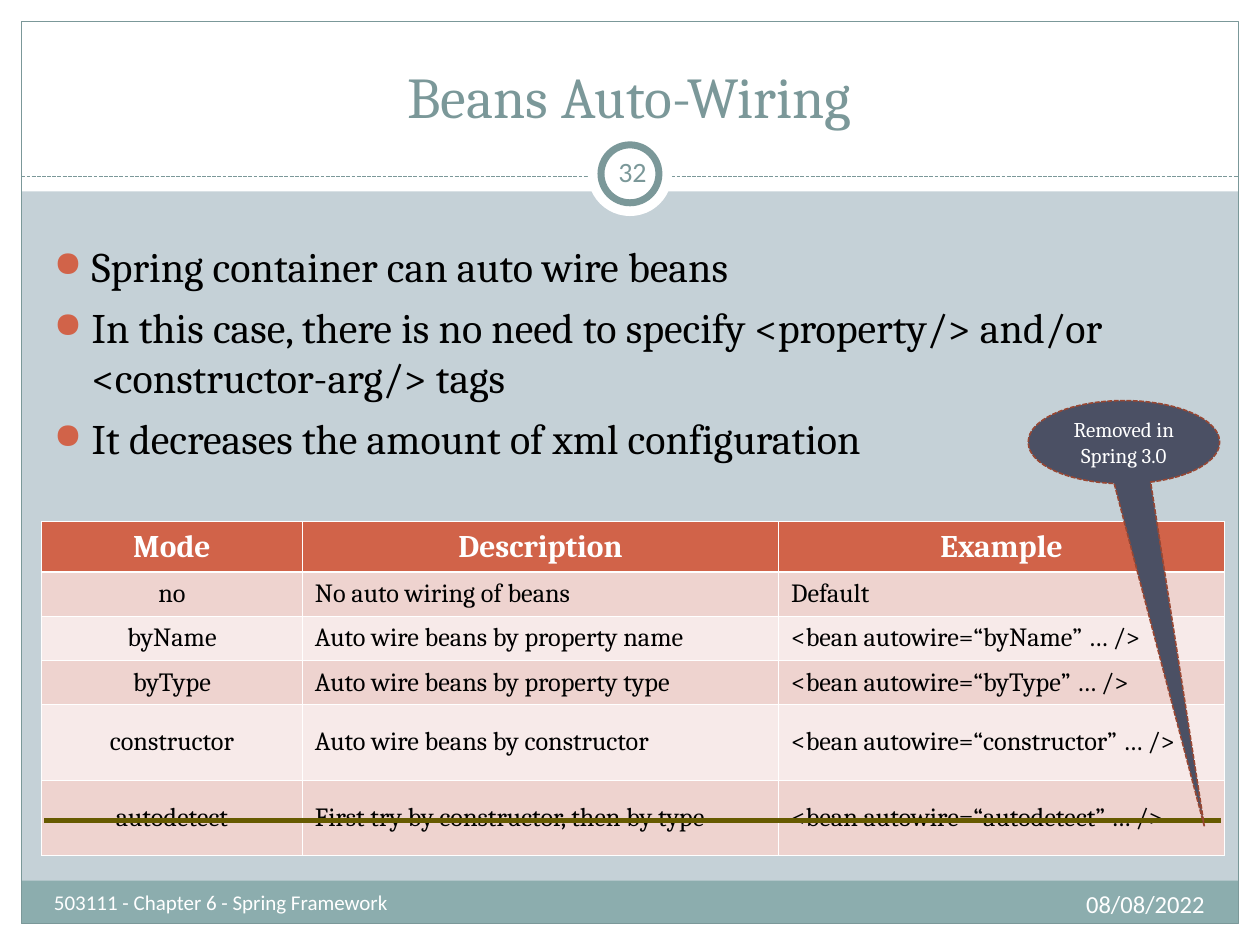
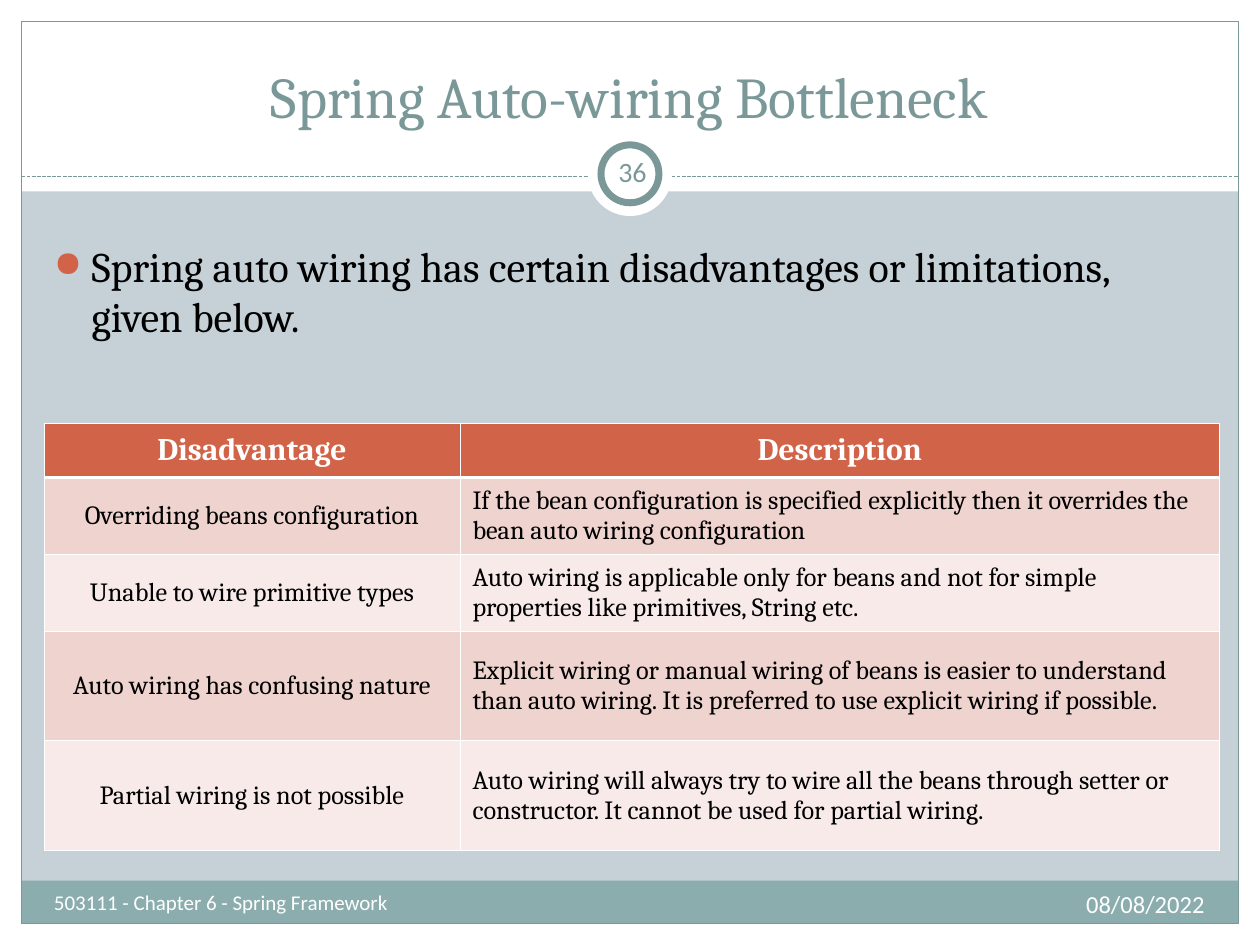
from dataclasses import dataclass

from lxml import etree
from pptx import Presentation
from pptx.dml.color import RGBColor
from pptx.enum import dml, shapes, text
from pptx.oxml import ns
from pptx.util import Inches, Pt

FOOTER = "503111 - Chapter 6 - Spring Framework"
DATE = "08/08/2022"
SLIDES = [
    {
        "title": "Beans Auto-Wiring",
        "number": "32",
        "points": [
            "Spring container can auto wire beans",
            "In this case, there is no need to specify <property/> and/or <constructor-arg/> tags",
            "It decreases the amount of xml configuration",
        ],
        "depth": 1.89,
        "corner": (0.33, 4.14),
        "cols": (2.07, 3.78, 3.54),
        "heights": (0.4, 0.35, 0.35, 0.35, 0.6, 0.6),
        "rows": [
            ("Mode", "Description", "Example"),
            ("no", "No auto wiring of beans", "Default"),
            ("byName", "Auto wire beans by property name", "<bean autowire=“byName” … />"),
            ("byType", "Auto wire beans by property type", "<bean autowire=“byType” … />"),
            ("constructor", "Auto wire beans by constructor", "<bean autowire=“constructor” … />"),
            ("autodetect", "First try by constructor, then by type", "<bean autowire=“autodetect” … />"),
        ],
        "strike": (0.35, 6.51, 9.69, 6.51),
        "callout": "Removed in Spring 3.0",
    },
    {
        "title": "Spring Auto-wiring Bottleneck",
        "number": "36",
        "points": ["Spring auto wiring has certain disadvantages or limitations, given below."],
        "depth": 0.95,
        "corner": (0.35, 3.36),
        "cols": (3.3, 6.03),
        "heights": (0.43, 0.61, 0.61, 0.87, 0.87),
        "rows": [
            ("Disadvantage", "Description"),
            ("Overriding beans configuration",
             "If the bean configuration is specified explicitly then it overrides the bean auto wiring configuration"),
            ("Unable to wire primitive types",
             "Auto wiring is applicable only for beans and not for simple properties like primitives, String etc."),
            ("Auto wiring has confusing nature",
             "Explicit wiring or manual wiring of beans is easier to understand than auto wiring. "
             "It is preferred to use explicit wiring if possible."),
            ("Partial wiring is not possible",
             "Auto wiring will always try to wire all the beans through setter or constructor. "
             "It cannot be used for partial wiring."),
        ],
    },
]


@dataclass(frozen=True)
class Theme:
    ground: str = "C5D1D7"
    white: str = "FFFFFF"
    black: str = "000000"
    slate: str = "7B9899"
    band: str = "8CADAE"
    accent: str = "D16349"
    odd: str = "EED3CF"
    even: str = "F7EAE9"
    strike: str = "665A00"
    navy: str = "4B5064"
    rust: str = "994733"
    serif: str = "Cambria"
    sans: str = "Calibri"
    title: int = 33
    body: int = 24
    head: int = 18
    number: int = 16
    cell: int = 15
    date: int = 14
    small: int = 12
    thin: float = 0.45
    thick: float = 1.47


T = Theme()
WIDE, HIGH, EDGE = 10, 7.5, 0.17
KIND = shapes.MSO_SHAPE
LEFT, MID, RIGHT = text.PP_ALIGN.LEFT, text.PP_ALIGN.CENTER, text.PP_ALIGN.RIGHT
TOP, CENTER, BASE = text.MSO_ANCHOR.TOP, text.MSO_ANCHOR.MIDDLE, text.MSO_ANCHOR.BOTTOM


def rgb(color):
    return RGBColor.from_string(color)


def add(parent, tag, **attrs):
    return etree.SubElement(parent, ns.qn(tag), {k: str(v) for k, v in attrs.items()})


def bullet(para):
    """Give a paragraph the round accent bullet and a hanging indent."""
    props = para._p.get_or_add_pPr()
    props.set("marL", str(Inches(0.3)))
    props.set("indent", str(Inches(-0.3)))
    add(add(props, "a:buClr"), "a:srgbClr", val=T.accent)
    add(props, "a:buSzPct", val=85000)
    add(props, "a:buChar", char="●")


def write(frame, lines, size=T.small, font=T.serif, color=T.white, bold=False,
          align=LEFT, dots=False):
    frame.word_wrap = True
    for i, line in enumerate(lines):
        para = frame.add_paragraph() if i else frame.paragraphs[0]
        if dots:
            bullet(para)
        para.alignment = align
        para.space_before = Pt(6 if i else 0)
        run = para.add_run()
        run.text = line
        run.font.size, run.font.name, run.font.bold = Pt(size), font, bold
        run.font.color.rgb = rgb(color)


def label(slide, box, lines, anchor=TOP, side=0.1, **look):
    frame = slide.shapes.add_textbox(*map(Inches, box)).text_frame
    frame.vertical_anchor = anchor
    frame.margin_left = frame.margin_right = Inches(side)
    write(frame, lines, **look)


def stroke(line, color, width, dash=False):
    line.color.rgb = rgb(color)
    line.width = Pt(width)
    if dash:
        line.dash_style = dml.MSO_LINE.SQUARE_DOT


def shape(slide, kind, box, fill=None, line=None, width=0.75, dash=False):
    item = slide.shapes.add_shape(kind, *map(Inches, box))
    item.shadow.inherit = False
    if fill:
        item.fill.solid()
        item.fill.fore_color.rgb = rgb(fill)
    else:
        item.fill.background()
    if line:
        stroke(item.line, line, width, dash)
    else:
        item.line.fill.background()
    return item


def rule(slide, ends, color, width, dash=False):
    item = slide.shapes.add_connector(shapes.MSO_CONNECTOR.STRAIGHT, *map(Inches, ends))
    stroke(item.line, color, width, dash)
    add(item._element.spPr, "a:effectLst")


def backdrop(slide):
    """Draw the margins, footer band, frame and number ring."""
    slide.background.fill.solid()
    slide.background.fill.fore_color.rgb = rgb(T.ground)
    margins = [(0, HIGH - EDGE, WIDE, EDGE), (0, 0, WIDE, 1.52),
               (0, 0, EDGE, HIGH), (WIDE - EDGE, 0, EDGE, HIGH)]
    for box in margins:
        shape(slide, KIND.RECTANGLE, box, T.white)
    inner = WIDE - 2 * EDGE
    shape(slide, KIND.RECTANGLE, (EDGE, 6.99, inner, 0.34), T.band)
    shape(slide, KIND.RECTANGLE, (EDGE, EDGE, inner, HIGH - 2 * EDGE), line=T.slate)
    rule(slide, (EDGE, 1.4, WIDE - EDGE, 1.4), T.slate, 0.75, dash=True)
    for size, line in ((0.67, None), (0.46, T.slate)):
        box = ((WIDE - size) / 2, 1.38 - size / 2, size, size)
        shape(slide, KIND.OVAL, box, T.white, line, 4)


def border(cell, row):
    """Edge a cell in white, thicker between the header and the first row."""
    props = cell._tc.get_or_add_tcPr()
    heavy = {0: "B", 1: "T"}.get(row)
    for i, side in enumerate("LRTB"):
        width = Pt(T.thick if side == heavy else T.thin)
        edge = add(props, f"a:ln{side}", w=width)
        add(add(edge, "a:solidFill"), "a:srgbClr", val=T.white)
        props.insert(i, edge)


def grid(slide, rows, corner, cols, heights):
    size = (*corner, sum(cols), sum(heights))
    table = slide.shapes.add_table(len(rows), len(cols), *map(Inches, size)).table
    for col, width in zip(table.columns, cols):
        col.width = Inches(width)
    for r, (words, height) in enumerate(zip(rows, heights)):
        table.rows[r].height = Inches(height)
        head = r == 0
        fill = T.accent if head else T.odd if r % 2 else T.even
        for c, word in enumerate(words):
            cell = table.cell(r, c)
            cell.vertical_anchor = CENTER
            cell.fill.solid()
            cell.fill.fore_color.rgb = rgb(fill)
            border(cell, r)
            write(cell.text_frame, [word], size=T.head if head else T.cell,
                  color=T.white if head else T.black, bold=head,
                  align=MID if head or c == 0 else LEFT)


def callout(slide, words):
    item = shape(slide, KIND.OVAL_CALLOUT, (8.16, 3.18, 1.52, 0.66),
                 T.navy, T.rust, 0.91, dash=True)
    item.adjustments[0], item.adjustments[1] = 0.42, 4.62
    item.text_frame.vertical_anchor = CENTER
    write(item.text_frame, [words], align=MID)


def build(deck, page):
    slide = deck.slides.add_slide(deck.slide_layouts[6])
    backdrop(slide)
    label(slide, (0.33, 0.25, 9.33, 0.83), [page["title"]], anchor=BASE,
          size=T.title, color=T.slate, align=MID)
    label(slide, (4.77, 1.12, 0.5, 0.48), [page["number"]], anchor=CENTER, side=0.05,
          size=T.number, font=T.sans, color=T.slate, align=MID)
    grid(slide, page["rows"], page["corner"], page["cols"], page["heights"])
    label(slide, (0.33, 1.86, 9.3, page["depth"]), page["points"],
          size=T.body, color=T.black, dots=True)
    label(slide, (0.33, 7.01, 3.92, 0.4), [FOOTER], font=T.sans)
    if "strike" in page:
        rule(slide, page["strike"], T.strike, 3)
    if "callout" in page:
        callout(slide, page["callout"])
    label(slide, (6.33, 7.01, 3.33, 0.4), [DATE], size=T.date, font=T.sans, align=RIGHT)


def main():
    deck = Presentation()
    deck.slide_width, deck.slide_height = Inches(WIDE), Inches(HIGH)
    for page in SLIDES:
        build(deck, page)
    deck.save("out.pptx")


if __name__ == "__main__":
    main()
